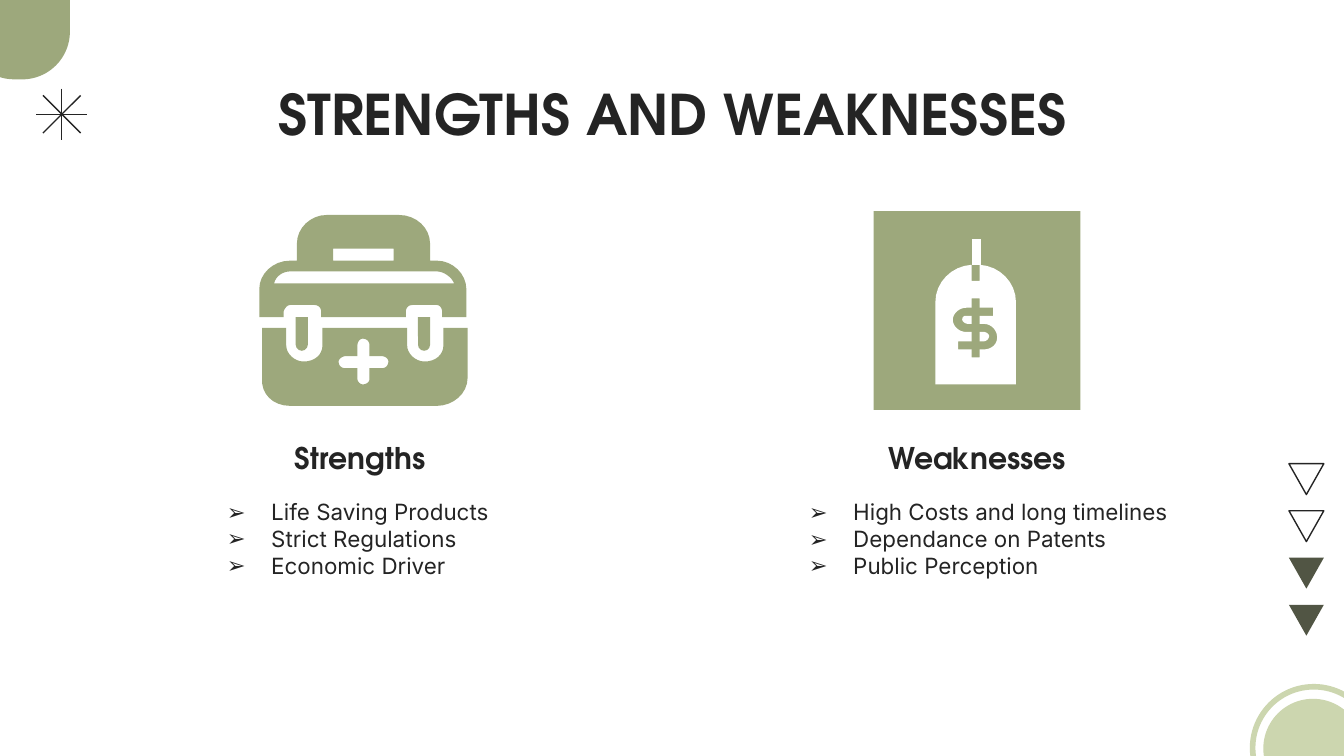
import pptx
import pptx.util
import pptx.dml.color
import pptx.enum.shapes
import pptx.enum.text
import pptx.oxml.ns
from lxml import etree

Inches, Pt = pptx.util.Inches, pptx.util.Pt
RGBColor = pptx.dml.color.RGBColor
SHAPE = pptx.enum.shapes.MSO_SHAPE
ALIGN = pptx.enum.text.PP_ALIGN
qn = pptx.oxml.ns.qn

WHITE = RGBColor(0xFF, 0xFF, 0xFF)
INK = RGBColor(0x24, 0x24, 0x24)
SAGE = RGBColor(0x9D, 0xA8, 0x7C)
PALE = RGBColor(0xCC, 0xD6, 0xAF)
OLIVE = RGBColor(0x51, 0x55, 0x44)
HEADING_FONT, BODY_FONT = "TeX Gyre Adventor", "Inter"
CURVE_STEPS = 8
SLIDE_WIDTH = Inches(10)
SLIDE_HEIGHT = SLIDE_WIDTH * 9 // 16

TITLE = "STRENGTHS AND WEAKNESSES"
# heading, heading left, list left, list width, list height, points
COLUMNS = [
    ("Strengths", 1.57, 1.42, 2.56, 1.17,
     ["Life Saving Products", "Strict Regulations", "Economic Driver"]),
    ("Weaknesses", 6.16, 5.75, 3.05, 0.81,
     ["High Costs and long timelines", "Dependance on Patents", "Public Perception"]),
]
HEADING_TOP, LIST_TOP = 3.17, 3.61

# Outlines in slide inches: M move, L lines, C cubic curves, Z close
PRICE_TAG = [
    "M 7.19 2.35 C 7.17 2.35 7.16 2.36 7.16 2.38 C 7.16 2.39 7.18 2.41 7.2 2.41 "
    "L 7.23 2.41 7.23 2.35 Z",
    "M 7.29 2.47 L 7.29 2.54 7.32 2.54 C 7.34 2.54 7.36 2.52 7.36 2.5 "
    "C 7.36 2.49 7.34 2.47 7.32 2.47 Z",
    "M 7.29 2.22 L 7.29 2.29 7.39 2.29 7.39 2.35 7.29 2.35 7.29 2.41 7.32 2.41 "
    "C 7.38 2.41 7.42 2.46 7.42 2.51 C 7.42 2.56 7.38 2.6 7.32 2.6 "
    "L 7.29 2.6 7.29 2.66 7.23 2.66 7.23 2.6 7.13 2.6 7.13 2.54 7.23 2.54 7.23 2.47 7.19 2.47 "
    "C 7.14 2.47 7.09 2.43 7.09 2.38 C 7.09 2.33 7.14 2.29 7.19 2.29 L 7.23 2.29 7.23 2.22 Z "
    "M 7.23 1.97 C 7.08 1.98 6.96 2.1 6.96 2.25 L 6.96 2.86 7.56 2.86 7.56 2.25 "
    "C 7.56 2.1 7.44 1.98 7.29 1.97 L 7.29 2.09 7.23 2.09 Z",
    "M 7.23 1.78 L 7.23 1.97 7.3 1.97 7.3 1.78 Z",
]
CASE_LID = (
    "M 2.93 1.85 L 2.93 1.94 2.48 1.94 2.48 1.85 Z "
    "M 3.25 2.02 C 3.3 2.02 3.36 2.06 3.38 2.11 L 2.04 2.11 C 2.05 2.06 2.1 2.02 2.16 2.02 Z "
    "M 2.43 1.6 C 2.31 1.6 2.21 1.7 2.21 1.81 L 2.21 1.94 2.16 1.94 "
    "C 2.03 1.94 1.93 2.04 1.93 2.15 L 1.93 2.36 2.11 2.36 2.11 2.32 "
    "C 2.12 2.29 2.14 2.27 2.16 2.27 L 2.34 2.27 C 2.37 2.27 2.39 2.29 2.39 2.32 "
    "L 2.39 2.36 3.02 2.36 3.02 2.32 C 3.02 2.29 3.04 2.27 3.07 2.27 L 3.25 2.27 "
    "C 3.27 2.27 3.29 2.29 3.29 2.32 L 3.29 2.36 3.47 2.36 3.47 2.15 "
    "C 3.47 2.04 3.37 1.94 3.25 1.94 L 3.2 1.94 3.2 1.81 C 3.2 1.7 3.1 1.6 2.97 1.6 Z")
CASE_BODY = (
    "M 2.7 2.52 C 2.73 2.52 2.75 2.54 2.75 2.57 L 2.75 2.65 2.84 2.65 "
    "C 2.87 2.65 2.89 2.67 2.89 2.69 C 2.89 2.72 2.87 2.74 2.84 2.74 L 2.75 2.74 2.75 2.82 "
    "C 2.75 2.84 2.73 2.86 2.7 2.86 C 2.68 2.86 2.66 2.84 2.66 2.82 L 2.66 2.74 2.57 2.74 "
    "C 2.54 2.74 2.52 2.72 2.52 2.69 C 2.52 2.67 2.55 2.65 2.57 2.65 L 2.66 2.65 2.66 2.57 "
    "C 2.66 2.54 2.68 2.52 2.7 2.52 Z "
    "M 1.95 2.44 L 1.95 2.81 C 1.94 2.93 2.03 3.02 2.16 3.02 L 3.25 3.02 "
    "C 3.37 3.02 3.48 2.93 3.48 2.81 L 3.48 2.44 3.3 2.44 3.3 2.57 "
    "C 3.3 2.64 3.24 2.69 3.16 2.69 C 3.09 2.69 3.03 2.63 3.03 2.57 L 3.03 2.44 2.4 2.44 2.4 2.57 "
    "C 2.4 2.64 2.34 2.69 2.26 2.69 C 2.19 2.69 2.13 2.63 2.13 2.57 L 2.13 2.44 Z")
LATCH_LEFTS = [2.2, 3.11]
LATCH_TOP, LATCH_WIDTH, LATCH_HEIGHT = 2.36, 0.09, 0.25

TRIANGLE_COLORS = [None, None, OLIVE, OLIVE]  # None is outlined only
TRIANGLE_TOP, TRIANGLE_PITCH = 3.45, 0.35
STAR_X, STAR_Y, STAR_RADIUS, STAR_DIAGONAL = 0.46, 0.85, 0.19, 0.14


def paint(shape, fill=None, line=None, weight=0.75):
    shape.shadow.inherit = False
    if fill is None:
        shape.fill.background()
    else:
        shape.fill.solid()
        shape.fill.fore_color.rgb = fill
    if line is None:
        shape.line.fill.background()
    else:
        shape.line.color.rgb = line
        shape.line.width = Pt(weight)


def add_preset(slide, kind, left, top, width, height, **colors):
    shape = slide.shapes.add_shape(kind, Inches(left), Inches(top), Inches(width), Inches(height))
    paint(shape, **colors)
    return shape


def curve_points(p0, p1, p2, p3):
    for step in range(1, CURVE_STEPS + 1):
        t = step / CURVE_STEPS
        s = 1 - t
        yield tuple(s**3 * a + 3 * s * s * t * b + 3 * s * t * t * c + t**3 * d
                    for a, b, c, d in zip(p0, p1, p2, p3))


def contours(outline):
    """Turn an outline string into lists of points, one per closed contour."""
    for part in outline.split("Z"):
        points, pending, command = [], [], ""
        for token in part.split():
            if token.isalpha():
                command = token
                continue
            pending.append(float(token))
            if len(pending) == (6 if command == "C" else 2):
                pairs = list(zip(pending[::2], pending[1::2]))
                points += curve_points(points[-1], *pairs) if command == "C" else pairs
                pending = []
        if points:
            yield [(Inches(x), Inches(y)) for x, y in points]


def add_outline(slide, outline, color):
    first, *others = contours(outline)
    builder = slide.shapes.build_freeform(*first[0])
    builder.add_line_segments(first[1:], close=True)
    for points in others:
        builder.move_to(*points[0])
        builder.add_line_segments(points[1:], close=True)
    paint(builder.convert_to_shape(), fill=color)


def write(shape, lines, font, size, bold=False, align=ALIGN.LEFT, bullet=None):
    frame = shape.text_frame
    frame.word_wrap = True
    frame.auto_size = pptx.enum.text.MSO_AUTO_SIZE.NONE
    frame.vertical_anchor = pptx.enum.text.MSO_ANCHOR.TOP
    frame.margin_left = frame.margin_right = frame.margin_top = frame.margin_bottom = Inches(0.1)
    frame.text = "\n".join(lines)
    for paragraph in frame.paragraphs:
        paragraph.alignment = align
        if bullet:
            add_bullet(paragraph, bullet, font)
        paragraph.font.name, paragraph.font.size = font, Pt(size)
        paragraph.font.bold = bold
        paragraph.font.color.rgb = INK


def add_bullet(paragraph, char, font):
    properties = paragraph._p.get_or_add_pPr()
    properties.set("marL", str(Inches(0.5)))
    properties.set("indent", str(Inches(-0.33)))
    color = etree.SubElement(properties, qn("a:buClr"))
    etree.SubElement(color, qn("a:srgbClr"), val=str(INK))
    etree.SubElement(properties, qn("a:buFont"), typeface=font)
    etree.SubElement(properties, qn("a:buChar"), char=char)


def add_text(slide, left, top, width, height, lines, *style, **options):
    box = slide.shapes.add_textbox(Inches(left), Inches(top), Inches(width), Inches(height))
    write(box, lines, *style, **options)


def add_ray(slide, dx, dy):
    ends = (STAR_X - dx, STAR_Y - dy, STAR_X + dx, STAR_Y + dy)
    ray = slide.shapes.add_connector(pptx.enum.shapes.MSO_CONNECTOR.STRAIGHT, *map(Inches, ends))
    ray.line.color.rgb, ray.line.width = INK, Pt(0.75)
    etree.SubElement(ray._element.spPr, qn("a:effectLst"))


def add_decoration(slide):
    corner = add_preset(slide, SHAPE.ROUND_2_SAME_RECTANGLE, -0.25, -0.12, 0.77, 0.71, fill=SAGE)
    corner.adjustments[0] = 0.5
    corner.rotation = 180
    add_preset(slide, SHAPE.OVAL, 9.32, 5.11, 0.91, 0.91, line=PALE, weight=3)
    add_preset(slide, SHAPE.OVAL, 9.4, 5.2, 0.74, 0.74, fill=PALE)
    for row, color in enumerate(TRIANGLE_COLORS):
        triangle = add_preset(slide, SHAPE.ISOSCELES_TRIANGLE, 9.59,
                              TRIANGLE_TOP + row * TRIANGLE_PITCH, 0.26, 0.23,
                              fill=color, line=None if color else INK)
        triangle.rotation = 180
    for dx, dy in [(STAR_DIAGONAL, STAR_DIAGONAL), (-STAR_DIAGONAL, STAR_DIAGONAL),
                   (0, STAR_RADIUS), (STAR_RADIUS, 0)]:
        add_ray(slide, dx, dy)


def add_icons(slide):
    add_preset(slide, SHAPE.RECTANGLE, 6.5, 1.57, 1.54, 1.48, fill=SAGE)
    for outline in PRICE_TAG:
        add_outline(slide, outline, WHITE)
    for outline in (CASE_LID, CASE_BODY):
        add_outline(slide, outline, SAGE)
    for left in LATCH_LEFTS:
        latch = add_preset(slide, SHAPE.ROUND_2_SAME_RECTANGLE, left, LATCH_TOP,
                           LATCH_WIDTH, LATCH_HEIGHT, fill=SAGE)
        latch.adjustments[0] = 0.5
        latch.rotation = 180


def main():
    deck = pptx.Presentation()
    deck.slide_width, deck.slide_height = SLIDE_WIDTH, SLIDE_HEIGHT
    slide = deck.slides.add_slide(deck.slide_layouts.get_by_name("Title Only"))
    add_decoration(slide)
    title = slide.shapes.title
    title.left, title.top, title.width, title.height = map(Inches, (0.79, 0.49, 8.43, 0.63))
    write(title, [TITLE], HEADING_FONT, 30, bold=True, align=ALIGN.CENTER)
    add_icons(slide)
    for heading, heading_left, list_left, width, height, points in COLUMNS:
        add_text(slide, heading_left, HEADING_TOP, 2.22, 0.41, [heading],
                 HEADING_FONT, 16, bold=True, align=ALIGN.CENTER)
        add_text(slide, list_left, LIST_TOP, width, height, points, BODY_FONT, 12, bullet="➢")
    deck.save("out.pptx")


if __name__ == "__main__":
    main()
